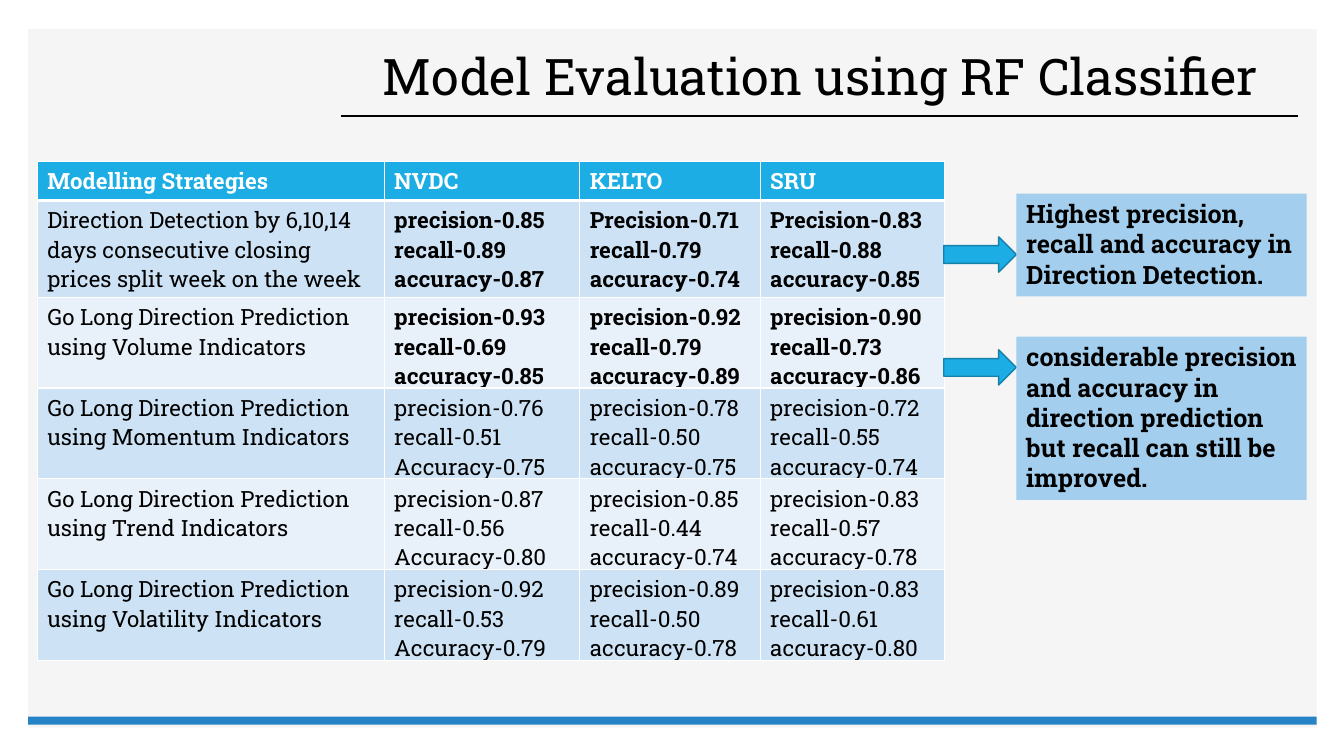
from lxml import etree
from pptx import Presentation
from pptx.dml.color import RGBColor
from pptx.enum import shapes, text
from pptx.oxml import ns
from pptx.util import Inches, Pt

BLACK = RGBColor(0x00, 0x00, 0x00)
WHITE = RGBColor(0xFF, 0xFF, 0xFF)
PANEL_GREY = RGBColor(0xF5, 0xF5, 0xF5)
FOOTER_BLUE = RGBColor(0x26, 0x83, 0xC6)
ACCENT_BLUE = RGBColor(0x1C, 0xAD, 0xE4)
ARROW_EDGE = RGBColor(0x15, 0x80, 0xA9)
CALLOUT_BLUE = RGBColor(0xA3, 0xCE, 0xED)
BAND_COLORS = [RGBColor(0xE8, 0xF1, 0xFA), RGBColor(0xCD, 0xE3, 0xF5)]


def add_box(kind, left, top, width, height, fill, edge=None):
    shape = slide.shapes.add_shape(
        kind, Inches(left), Inches(top), Inches(width), Inches(height))
    shape.shadow.inherit = False
    shape.fill.solid()
    shape.fill.fore_color.rgb = fill
    if edge is None:
        shape.line.fill.background()
    else:
        shape.line.color.rgb = edge
        shape.line.width = Pt(1)
    return shape


def write_lines(frame, lines, size, color=BLACK, bold=False):
    font_format = {"name": "Roboto Slab", "size": Pt(size), "bold": bold}
    frame.word_wrap = True
    for index, line in enumerate(lines):
        paragraph = frame.add_paragraph() if index else frame.paragraphs[0]
        paragraph.alignment = text.PP_ALIGN.LEFT
        run = paragraph.add_run()
        run.text = line
        for attribute, value in font_format.items():
            setattr(run.font, attribute, value)
        run.font.color.rgb = color


presentation = Presentation()
presentation.slide_width = Inches(13.33)
presentation.slide_height = Inches(7.5)
slide = presentation.slides.add_slide(presentation.slide_layouts[6])

RECTANGLE = shapes.MSO_SHAPE.RECTANGLE
add_box(RECTANGLE, 0.28, 0.29, 12.78, 6.93, PANEL_GREY)
title_rule = slide.shapes.add_connector(
    shapes.MSO_CONNECTOR.STRAIGHT,
    Inches(3.38), Inches(1.15), Inches(12.87), Inches(1.15))
title_rule.line.color.rgb = BLACK
title_rule.line.width = Pt(1)
etree.SubElement(title_rule._element.spPr, ns.qn("a:effectLst"))
add_box(RECTANGLE, 0.28, 7.11, 12.78, 0.08, FOOTER_BLUE)

title = slide.shapes.add_textbox(
    Inches(3.7), Inches(0.42), Inches(9.17), Inches(0.73))
write_lines(title.text_frame, ["Model Evaluation using RF Classifier"], 36)
title.text_frame.vertical_anchor = text.MSO_ANCHOR.MIDDLE
title.text_frame.paragraphs[0].line_spacing = 0.9

header = ["Modelling Strategies", "NVDC", "KELTO", "SRU"]
strategies = [
    ["Direction Detection by 6,10,14 days consecutive closing prices split week on the week",
     "precision-0.85 recall-0.89 accuracy-0.87",
     "Precision-0.71 recall-0.79 accuracy-0.74",
     "Precision-0.83 recall-0.88 accuracy-0.85"],
    ["Go Long Direction Prediction using Volume Indicators",
     "precision-0.93 recall-0.69 accuracy-0.85",
     "precision-0.92 recall-0.79 accuracy-0.89",
     "precision-0.90 recall-0.73 accuracy-0.86"],
    ["Go Long Direction Prediction using Momentum Indicators",
     "precision-0.76 recall-0.51 Accuracy-0.75",
     "precision-0.78 recall-0.50 accuracy-0.75",
     "precision-0.72 recall-0.55 accuracy-0.74"],
    ["Go Long Direction Prediction using Trend Indicators",
     "precision-0.87 recall-0.56 Accuracy-0.80",
     "precision-0.85 recall-0.44 accuracy-0.74",
     "precision-0.83 recall-0.57 accuracy-0.78"],
    ["Go Long Direction Prediction using Volatility Indicators",
     "precision-0.92 recall-0.53 Accuracy-0.79",
     "precision-0.89 recall-0.50 accuracy-0.78",
     "precision-0.83 recall-0.61 accuracy-0.80"],
]
rows = [header] + strategies
column_widths = [3.44, 1.94, 1.79, 1.83]
row_heights = [0.39, 0.96] + [0.88] * 4

table = slide.shapes.add_table(
    len(rows), len(header), Inches(0.37), Inches(1.6),
    Inches(sum(column_widths)), Inches(sum(row_heights))).table
for column, width in zip(table.columns, column_widths):
    column.width = Inches(width)
for row, height in zip(table.rows, row_heights):
    row.height = Inches(height)

for row_index, row in enumerate(rows):
    is_header = row_index == 0
    for column_index, content in enumerate(row):
        cell = table.cell(row_index, column_index)
        is_score = not is_header and column_index > 0
        write_lines(
            cell.text_frame,
            content.split() if is_score else [content],
            16,
            WHITE if is_header else BLACK,
            is_header or (is_score and row_index <= 2))
        properties = cell._tc.get_or_add_tcPr()
        for side in ("L", "R", "T", "B"):
            thick = (is_header and side == "B") or (row_index == 1 and side == "T")
            border = etree.SubElement(
                properties, ns.qn(f"a:ln{side}"), w=str(Pt(3 if thick else 1)))
            border_fill = etree.SubElement(border, ns.qn("a:solidFill"))
            etree.SubElement(border_fill, ns.qn("a:srgbClr"), val=str(WHITE))
        cell.fill.solid()
        cell.fill.fore_color.rgb = ACCENT_BLUE if is_header else BAND_COLORS[row_index % 2]

callouts = [
    (2.35, 1.92, 1.02, "Highest precision, recall and accuracy in Direction Detection."),
    (3.47, 3.34, 1.62, "considerable precision and accuracy in direction prediction "
                       "but recall can still be improved."),
]
for arrow_top, top, height, remark in callouts:
    add_box(shapes.MSO_SHAPE.RIGHT_ARROW, 9.36, arrow_top, 0.72, 0.35, ACCENT_BLUE, ARROW_EDGE)
    callout = add_box(RECTANGLE, 10.08, top, 2.88, height, CALLOUT_BLUE)
    write_lines(callout.text_frame, [remark], 18, bold=True)
    callout.text_frame.vertical_anchor = text.MSO_ANCHOR.TOP
    callout.text_frame.auto_size = text.MSO_AUTO_SIZE.SHAPE_TO_FIT_TEXT

presentation.save("out.pptx")
